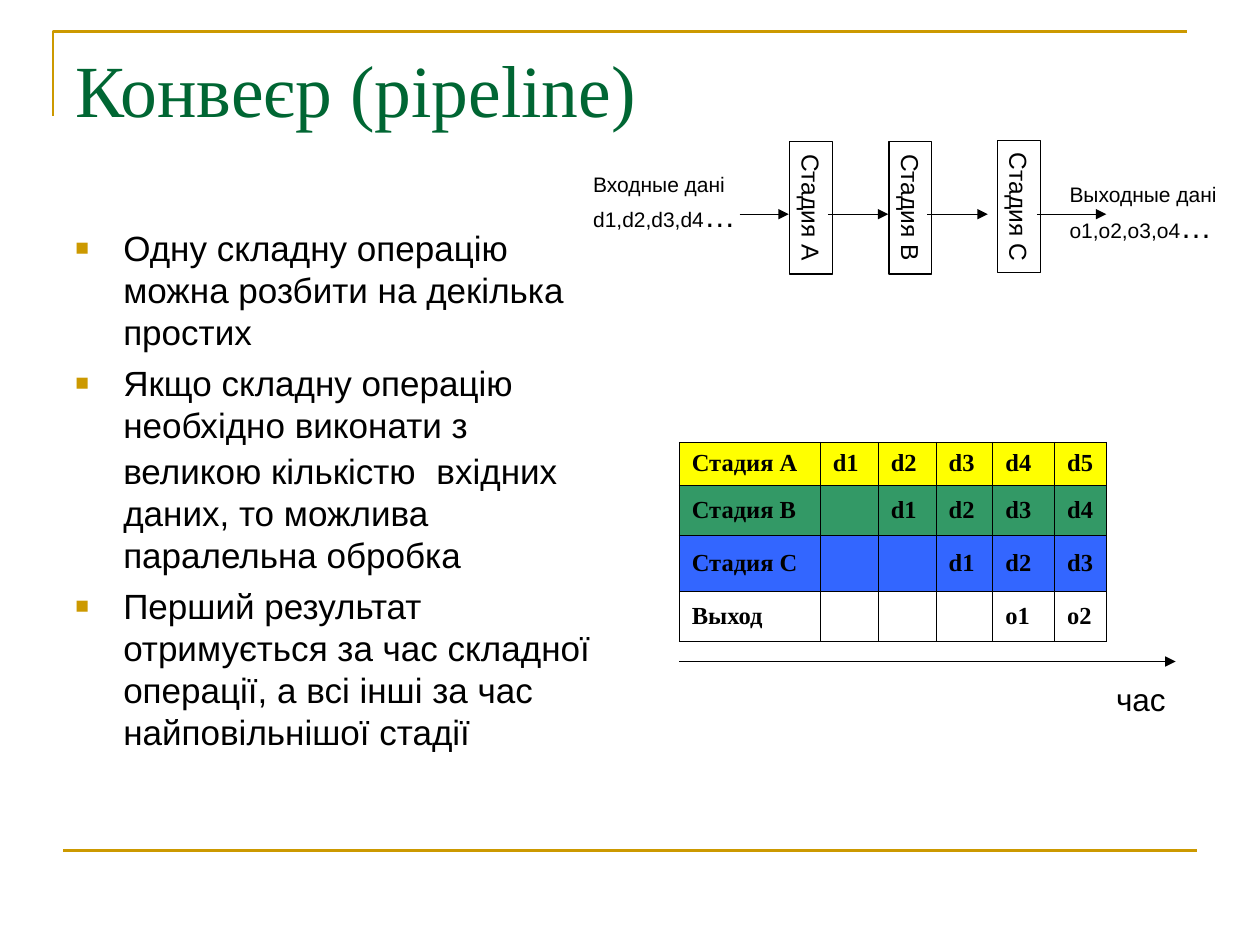
from lxml.etree import SubElement
from pptx import Presentation
from pptx.dml.color import RGBColor
from pptx.enum.shapes import MSO_CONNECTOR, MSO_SHAPE
from pptx.enum.text import MSO_ANCHOR, PP_ALIGN
from pptx.oxml.ns import qn
from pptx.util import Inches, Pt

COLORS = {
    "ink": "000000", "gold": "CC9900", "title": "006633",
    "yellow": "FFFF00", "green": "339966", "blue": "3366FF",
}
SANS, SERIF = "Arial", "Times New Roman"

POINTS = [
    [("Одну складну операцію можна розбити на декілька простих", 20)],
    [("Якщо складну операцію необхідно виконати з великою кількістю ", 20),
     (" ", 22),
     ("вхідних даних, то можлива паралельна обробка", 20)],
    [("Перший результат отримується за час складної операції, "
      "а всі інші за час найповільнішої стадії", 20)],
]
STAGES = [("Стадия A", 5.91, 1.48), ("Стадия B", 6.7, 1.48),
          ("Стадия C", 7.56, 1.47)]
ARROWS = [(5.87, 6.26), (6.57, 7.05), (7.36, 7.84), (8.23, 8.78)]
ROWS = [  # label, fill, row height, cells
    ("Стадия A", "yellow", 0.34, ["d1", "d2", "d3", "d4", "d5"]),
    ("Стадия B", "green", 0.4, ["", "d1", "d2", "d3", "d4"]),
    ("Стадия C", "blue", 0.44, ["", "", "d1", "d2", "d3"]),
    ("Выход", None, 0.4, ["", "", "", "o1", "o2"]),
]
COLS = [1.12, 0.46, 0.46, 0.45, 0.49, 0.41]


def rgb(name):
    return RGBColor.from_string(COLORS[name])


def style(font, size, face=SANS, color="ink", bold=False):
    font.size, font.name, font.bold = Pt(size), face, bold
    font.color.rgb = rgb(color)


def add_runs(para, runs):
    """Fill a paragraph with (text, size) runs."""
    style(para.font, runs[0][1])
    for text, size in runs:
        run = para.add_run()
        run.text = text
        if len(runs) > 1:
            run.font.size = Pt(size)


def add_box(slide, left, top, width, height, wrap=False):
    box = slide.shapes.add_textbox(
        Inches(left), Inches(top), Inches(width), Inches(height))
    box.text_frame.word_wrap = wrap
    return box.text_frame


def add_line(slide, start, end, color="ink", width=0.75, arrow=True):
    line = slide.shapes.add_connector(
        MSO_CONNECTOR.STRAIGHT, *map(Inches, start + end))
    line.line.color.rgb = rgb(color)
    line.line.width = Pt(width)
    if arrow:
        SubElement(line.line._get_or_add_ln(), qn("a:tailEnd"),
                   type="triangle")
    SubElement(line._element.spPr, qn("a:effectLst"))


def add_frame(slide):
    """Corner rule at the top and plain rule at the bottom."""
    build = slide.shapes.build_freeform(Inches(0.42), Inches(0.92), scale=1.0)
    build.add_line_segments(
        [(Inches(0.42), Inches(0.25)), (Inches(9.42), Inches(0.25))],
        close=False)
    rule = build.convert_to_shape()
    rule.shadow.inherit = False
    rule.fill.background()
    rule.line.color.rgb = rgb("gold")
    rule.line.width = Pt(1.5)
    add_line(slide, (0.5, 6.75), (9.5, 6.75), "gold", 1.5, arrow=False)


def add_bullet(para):
    props = para._p.get_or_add_pPr()
    props.set("marL", str(Inches(0.38)))
    props.set("indent", str(-Inches(0.38)))
    color = SubElement(props, qn("a:buClr"))
    SubElement(color, qn("a:srgbClr"), val=COLORS["gold"])
    SubElement(props, qn("a:buSzPct"), val="65000")
    SubElement(props, qn("a:buFont"), typeface=SANS)
    SubElement(props, qn("a:buChar"), char="■")


def add_points(slide):
    frame = add_box(slide, 0.5, 1.75, 4.42, 4.95, wrap=True)
    for i, runs in enumerate(POINTS):
        para = frame.add_paragraph() if i else frame.paragraphs[0]
        add_bullet(para)
        if i:
            para.space_before = Pt(5)
        add_runs(para, runs)


def add_stage(slide, text, left, top):
    box = slide.shapes.add_shape(
        MSO_SHAPE.RECTANGLE, Inches(left), Inches(top),
        Inches(1.05), Inches(0.34))
    box.rotation = 90
    box.shadow.inherit = False
    box.fill.background()
    box.line.color.rgb = rgb("ink")
    box.line.width = Pt(0.75)
    frame = box.text_frame
    frame.word_wrap = False
    frame.vertical_anchor = MSO_ANCHOR.TOP
    para = frame.paragraphs[0]
    para.alignment = PP_ALIGN.LEFT
    add_runs(para, [(text, 14)])


def add_label(slide, left, top, width, head, items):
    frame = add_box(slide, left, top, width, 0.6)
    add_runs(frame.paragraphs[0], [(head, 12)])
    add_runs(frame.add_paragraph(), [(items, 12), ("…", 18)])


def set_cell(cell, text, fill):
    props = cell._tc.get_or_add_tcPr()
    for side in ("lnL", "lnR", "lnT", "lnB"):
        edge = SubElement(props, qn(f"a:{side}"), w=str(Pt(0.45)))
        solid = SubElement(edge, qn("a:solidFill"))
        SubElement(solid, qn("a:srgbClr"), val=COLORS["ink"])
    if fill:
        cell.fill.solid()
        cell.fill.fore_color.rgb = rgb(fill)
    else:
        cell.fill.background()
    cell.vertical_anchor = MSO_ANCHOR.MIDDLE
    cell.text = text
    style(cell.text_frame.paragraphs[0].font, 14, SERIF, bold=True)


def add_grid(slide):
    table = slide.shapes.add_table(
        len(ROWS), len(COLS), Inches(5.39), Inches(3.51),
        Inches(sum(COLS)), Inches(sum(row[2] for row in ROWS))).table
    table.first_row = table.horz_banding = False
    for col, width in zip(table.columns, COLS):
        col.width = Inches(width)
    for r, (label, fill, height, items) in enumerate(ROWS):
        table.rows[r].height = Inches(height)
        for c, text in enumerate([label] + items):
            set_cell(table.cell(r, c), text, fill)


def main():
    deck = Presentation()
    deck.slide_width, deck.slide_height = Inches(10), Inches(7.5)
    slide = deck.slides.add_slide(deck.slide_layouts[6])
    add_frame(slide)

    # Title and points
    frame = add_box(slide, 0.5, 0.3, 9, 1.25, wrap=True)
    frame.text = "Конвеєр (pipeline)"
    style(frame.paragraphs[0].font, 42, SERIF, "title")
    add_points(slide)

    # Pipeline of stages
    for stage in STAGES:
        add_stage(slide, *stage)
    for start, end in ARROWS:
        add_line(slide, (start, 1.7), (end, 1.7))
    add_label(slide, 4.61, 1.31, 1.33, "Входные дані", "d1,d2,d3,d4")
    add_label(slide, 8.39, 1.39, 1.37, "Выходные дані", "o1,o2,o3,o4")

    # Timing table with its time axis
    add_grid(slide)
    add_line(slide, (5.39, 5.25), (9.33, 5.25))
    axis = add_box(slide, 8.76, 5.35, 0.64, 0.4)
    add_runs(axis.paragraphs[0], [("час", 18)])

    deck.save("out.pptx")


if __name__ == "__main__":
    main()
